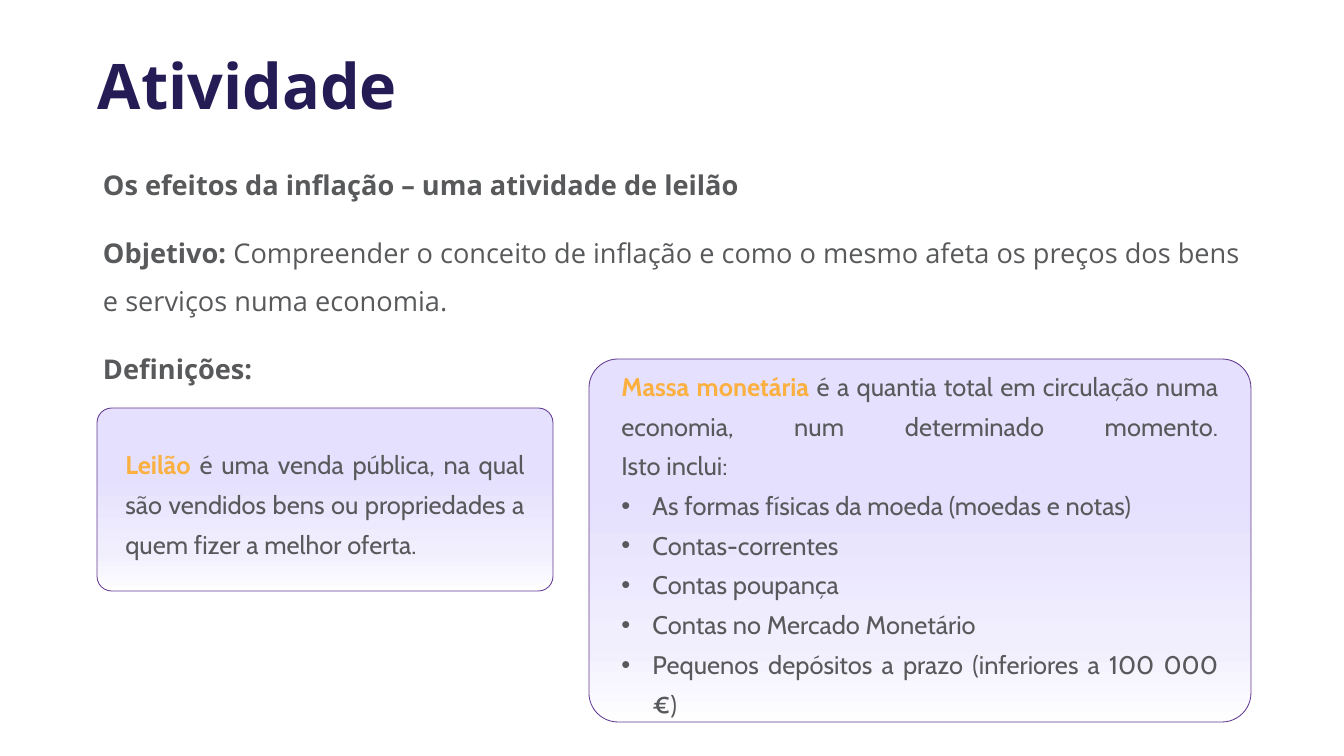
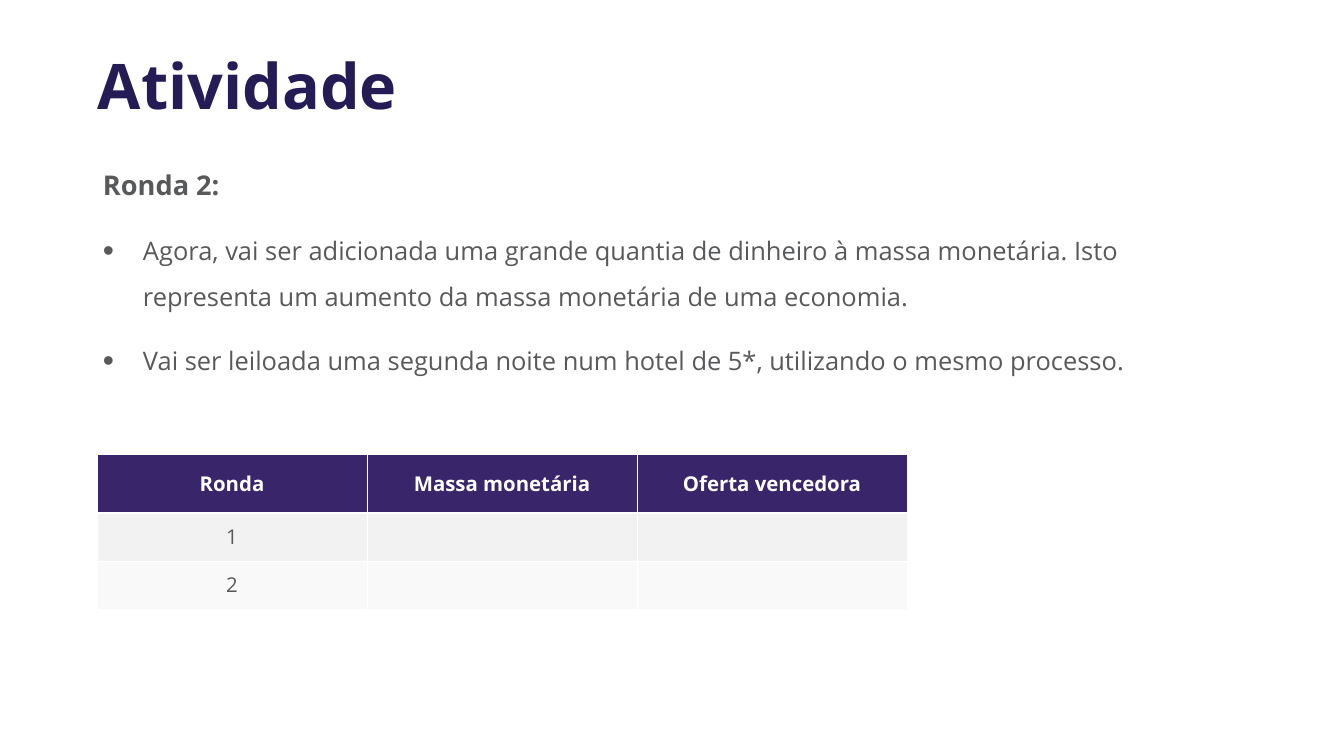
from lxml import etree
from pptx import Presentation
from pptx.dml.color import RGBColor
from pptx.enum.shapes import MSO_SHAPE
from pptx.enum.text import MSO_ANCHOR, MSO_AUTO_SIZE, PP_ALIGN
from pptx.oxml.ns import qn
from pptx.util import Emu, Pt

ROUNDED = MSO_SHAPE.ROUNDED_RECTANGLE
TOP, MIDDLE = MSO_ANCHOR.TOP, MSO_ANCHOR.MIDDLE
LEFT, CENTER, JUSTIFY = PP_ALIGN.LEFT, PP_ALIGN.CENTER, PP_ALIGN.JUSTIFY
NO_AUTOFIT = MSO_AUTO_SIZE.NONE

SCALE = 14960
SLIDE_SIZE = (1344, 756)
COLORS = {
    "title": "251B55", "text": "58595B", "term": "FBB040", "outline": "613990",
    "header": "392569", "odd": "F2F2F2", "even": "F9F9F9", "white": "FFFFFF",
}
CARD_GRADIENT = [(0, "FEFEFF"), (22, "F1EEFE"), (64, "E4E0FD")]
CARD_ANGLE = 270

STYLES = {
    "title": {"name": "Open Sans", "size": Pt(74), "bold": True, "color": "title"},
    "strong": {"name": "Open Sans", "size": Pt(32), "bold": True, "color": "text"},
    "plain": {"name": "Open Sans", "size": Pt(32), "bold": False, "color": "text"},
    "item": {"name": "Open Sans", "size": Pt(30), "bold": False, "color": "text"},
    "term": {"name": "Cabin", "size": Pt(30), "bold": True, "color": "term"},
    "card": {"name": "Cabin", "size": Pt(30), "bold": False, "color": "text"},
    "head": {"name": "Open Sans", "size": Pt(24), "bold": True, "color": "white"},
    "cell": {"name": "Open Sans", "size": Pt(24), "bold": False, "color": "text"},
}
TITLE_FORMAT = {"alignment": LEFT, "line_spacing": 0.9}
BODY_FORMAT = {"line_spacing": 1.5, "space_before": Pt(10), "space_after": Pt(12)}
CARD_FORMAT = {"alignment": JUSTIFY, "line_spacing": 1.3}
CELL_FORMAT = {"alignment": CENTER}
BODY_BULLET = {"indent": 40, "percent": 125}
CARD_BULLET = {"indent": 31, "percent": 100}

TITLE = "Atividade"
TITLE_BOX = (92, 40, 1159, 98)
BODY_BOX = (97, 149, 1159, 562)
BODY_INSETS = (6, 3)
CARD_INSETS = (24, 2)

ACTIVITY = [
    ([("Os efeitos da inflação – uma atividade de leilão", "strong")], None),
    ([("Objetivo:", "strong"),
      (" Compreender o conceito de inflação e como o mesmo afeta os preços "
       "dos bens e serviços numa economia.", "plain")], None),
    ([("Definições:", "strong")], None),
]
MONEY_SUPPLY_FORMS = [
    "As formas físicas da moeda (moedas e notas)",
    "Contas-correntes",
    "Contas poupança",
    "Contas no Mercado Monetário",
    "Pequenos depósitos a prazo (inferiores a 100 000 €)",
]
DEFINITIONS = [
    ((589, 359, 662, 363), [
        ([("Massa monetária ", "term"),
          ("é a quantia total em circulação numa economia, num determinado "
           "momento.\nIsto inclui:", "card")], None),
        *[([(form, "card")], CARD_BULLET) for form in MONEY_SUPPLY_FORMS],
    ]),
    ((97, 408, 456, 183), [
        ([("Leilão ", "term"),
          ("é uma venda pública, na qual são vendidos bens ou propriedades a "
           "quem fizer a melhor oferta.", "card")], None),
    ]),
]
ROUND_STEPS = [
    ([("Ronda 2:", "strong")], None),
    ([("Agora, vai ser adicionada uma grande quantia de dinheiro à massa "
       "monetária. Isto representa um aumento da massa monetária de uma "
       "economia.", "item")], BODY_BULLET),
    ([("Vai ser leiloada uma segunda noite num hotel de 5*, utilizando o "
       "mesmo processo.", "item")], BODY_BULLET),
]
BIDS = [
    ("Ronda", "Massa monetária", "Oferta vencedora"),
    ("1", "", ""),
    ("2", "", ""),
]
BIDS_ORIGIN = (97, 454)
BIDS_COLUMN = 270
BIDS_ROWS = [59, 48, 48]
BIDS_FILLS = ["header", "odd", "even"]
BIDS_RULES = [1, 3, 1, 1]


def px(value):
    return Emu(value * SCALE)


def apply(target, values):
    for key, value in values.items():
        setattr(target, key, value)


def rgb(name):
    return RGBColor.from_string(COLORS[name])


def add_child(parent, tag, **attributes):
    return etree.SubElement(parent, qn(tag), {k: str(v) for k, v in attributes.items()})


def add_bullet(paragraph, indent, percent):
    properties = paragraph._p.get_or_add_pPr()
    properties.set("marL", str(px(indent)))
    properties.set("indent", str(-px(indent)))
    add_child(properties, "a:buSzPct", val=percent * 1000)
    add_child(properties, "a:buFont", typeface="Arial")
    add_child(properties, "a:buChar", char="•")


def write_run(paragraph, text, style):
    run = paragraph.add_run()
    run.text = text
    values = dict(STYLES[style])
    run.font.color.rgb = rgb(values.pop("color"))
    apply(run.font, values)


def write(frame, paragraphs, values):
    for index, (runs, bullet) in enumerate(paragraphs):
        paragraph = frame.add_paragraph() if index else frame.paragraphs[0]
        apply(paragraph, values)
        if index == 0:
            paragraph.space_before = Pt(0)
        if bullet:
            add_bullet(paragraph, **bullet)
        for text, style in runs:
            for number, line in enumerate(text.split("\n")):
                if number:
                    paragraph.add_line_break()
                write_run(paragraph, line, style)


def set_frame(frame, anchor, insets):
    across, down = map(px, insets)
    apply(frame, {
        "word_wrap": True, "auto_size": NO_AUTOFIT, "vertical_anchor": anchor,
        "margin_left": across, "margin_right": across,
        "margin_top": down, "margin_bottom": down,
    })


def add_activity_slide(deck, body):
    slide = deck.slides.add_slide(deck.slide_layouts[5])
    title = slide.shapes.title
    apply(title, dict(zip(("left", "top", "width", "height"), map(px, TITLE_BOX))))
    set_frame(title.text_frame, MIDDLE, BODY_INSETS)
    write(title.text_frame, [([(TITLE, "title")], None)], TITLE_FORMAT)
    frame = slide.shapes.add_textbox(*map(px, BODY_BOX)).text_frame
    set_frame(frame, TOP, BODY_INSETS)
    write(frame, body, BODY_FORMAT)
    return slide


def add_definition(slide, box, paragraphs):
    card = slide.shapes.add_shape(ROUNDED, *map(px, box))
    card.adjustments[0] = 0.08
    gradient = add_child(card._element.spPr, "a:gradFill", rotWithShape=1)
    stops = add_child(gradient, "a:gsLst")
    for position, color in CARD_GRADIENT:
        stop = add_child(stops, "a:gs", pos=position * 1000)
        add_child(stop, "a:srgbClr", val=color)
    add_child(gradient, "a:lin", ang=CARD_ANGLE * 60000, scaled=0)
    card.line.color.rgb = rgb("outline")
    card.line.width = Pt(1)
    card.shadow.inherit = False
    set_frame(card.text_frame, MIDDLE, CARD_INSETS)
    write(card.text_frame, paragraphs, CARD_FORMAT)


def set_borders(cell, row):
    widths = {"a:lnL": 1, "a:lnR": 1, "a:lnT": BIDS_RULES[row], "a:lnB": BIDS_RULES[row + 1]}
    properties = cell._tc.get_or_add_tcPr()
    for position, (tag, width) in enumerate(widths.items()):
        border = add_child(properties, tag, w=Pt(width))
        add_child(add_child(border, "a:solidFill"), "a:srgbClr", val=COLORS["white"])
        properties.insert(position, border)


def add_bids(slide):
    columns = len(BIDS[0])
    size = (BIDS_COLUMN * columns, sum(BIDS_ROWS))
    table = slide.shapes.add_table(
        len(BIDS), columns, *map(px, BIDS_ORIGIN + size)).table
    table.horz_banding = False
    for column in table.columns:
        column.width = px(BIDS_COLUMN)
    for row, texts in enumerate(BIDS):
        table.rows[row].height = px(BIDS_ROWS[row])
        for column, text in enumerate(texts):
            cell = table.cell(row, column)
            cell.vertical_anchor = MIDDLE
            cell.fill.solid()
            cell.fill.fore_color.rgb = rgb(BIDS_FILLS[row])
            set_borders(cell, row)
            if text:
                style = "cell" if row else "head"
                write(cell.text_frame, [([(text, style)], None)], CELL_FORMAT)


def main():
    deck = Presentation()
    deck.slide_width, deck.slide_height = map(px, SLIDE_SIZE)
    definitions_slide = add_activity_slide(deck, ACTIVITY)
    for box, paragraphs in DEFINITIONS:
        add_definition(definitions_slide, box, paragraphs)
    add_bids(add_activity_slide(deck, ROUND_STEPS))
    deck.save("out.pptx")


if __name__ == "__main__":
    main()
